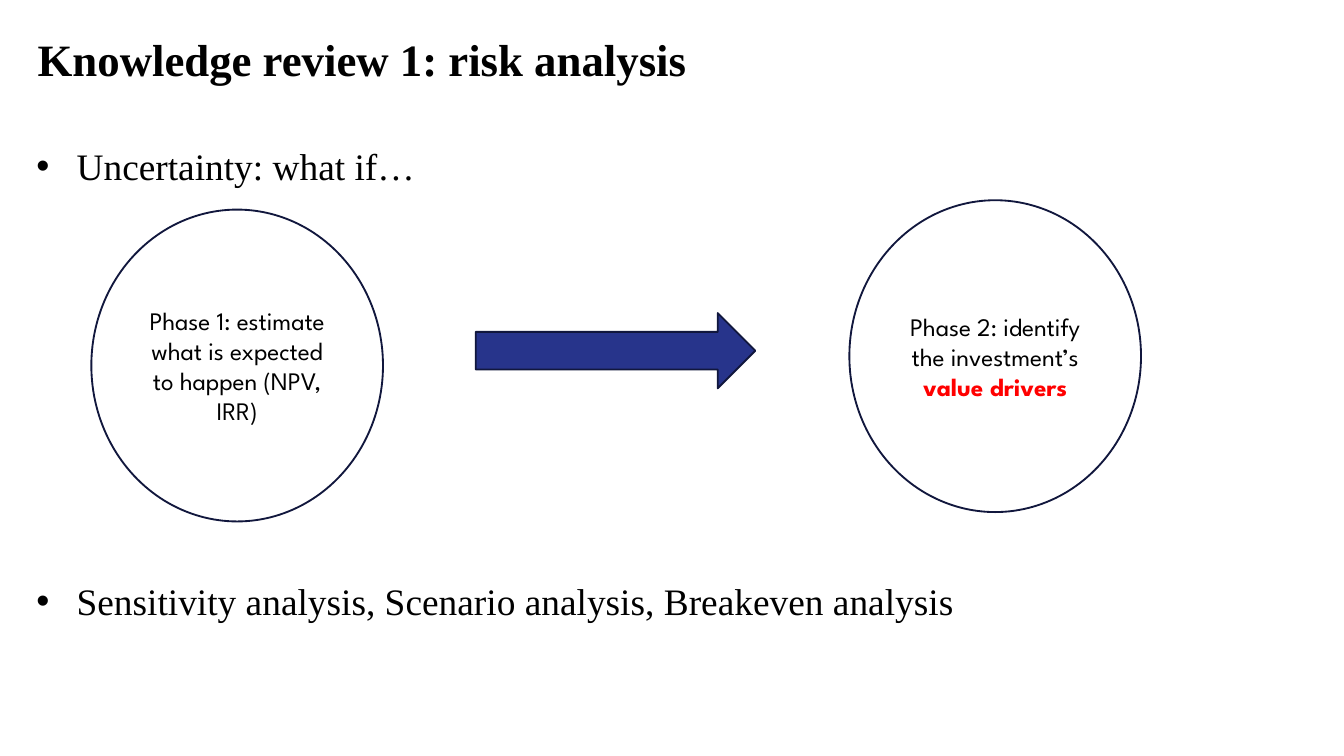
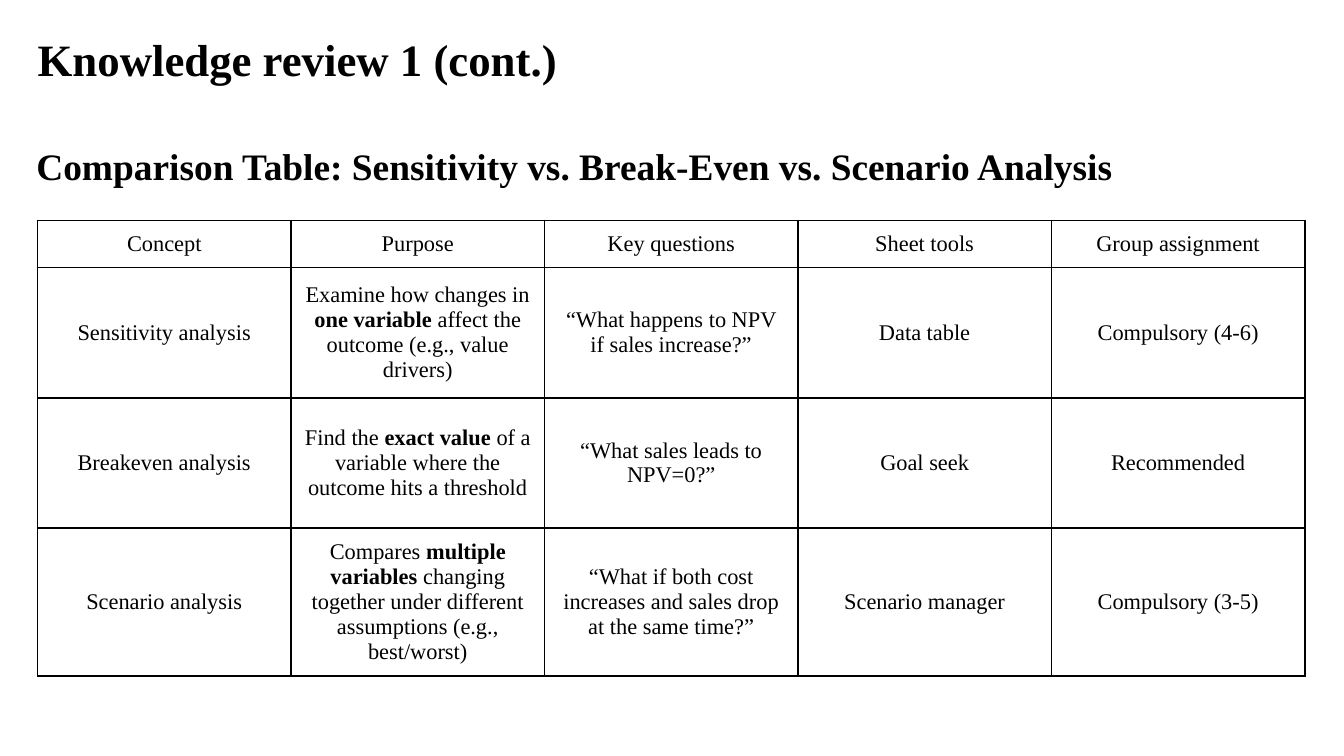
from dataclasses import dataclass

from lxml import etree
from pptx import Presentation
from pptx import util as u
from pptx.dml.color import RGBColor
from pptx.enum import shapes, text
from pptx.oxml.ns import qn


@dataclass(frozen=True)
class Theme:
    serif: str = "Times New Roman"
    sans: str = "League Spartan"
    ink: str = "000000"
    accent: str = "FF0000"
    arrow: str = "27348B"
    outline: str = "11173D"
    title_size: float = 24
    body_size: float = 20
    phase_size: float = 13.5
    cell_size: float = 12


THEME = Theme()

# A list within a cell holds runs; every second one is bold.
COMPARISON = [
    ["Concept", "Purpose", "Key questions", "Sheet tools", "Group assignment"],
    ["Sensitivity analysis",
     ["Examine how changes in ", "one variable ",
      "affect the outcome (e.g., value drivers)"],
     "“What happens to NPV if sales increase?”", "Data table", "Compulsory (4-6)"],
    ["Breakeven analysis",
     ["Find the ", "exact value ",
      "of a variable where the outcome hits a threshold"],
     "“What sales leads to NPV=0?”", "Goal seek", "Recommended"],
    ["Scenario analysis",
     ["Compares ", "multiple variables ",
      "changing together under different assumptions (e.g., best/worst)"],
     "“What if both cost increases and sales drop at the same time?”",
     "Scenario manager", "Compulsory (3-5)"],
]


def inches(*lengths):
    return [u.Inches(length) for length in lengths]


def color(code):
    return RGBColor.from_string(code)


def style(span, size, face=THEME.serif, ink=THEME.ink, bold=False):
    span.font.name = face
    span.font.size = u.Pt(size)
    span.font.color.rgb = color(ink)
    span.font.bold = bold


def write_runs(para, parts, size, face=THEME.serif, strong_ink=THEME.ink):
    """Write the parts as runs, every second one bold."""
    for index, part in enumerate(parts):
        span = para.add_run()
        span.text = part
        strong = index % 2 == 1
        style(span, size, face, strong_ink if strong else THEME.ink, strong)


def set_insets(frame, side):
    frame.margin_left = frame.margin_right = u.Inches(side)
    frame.margin_top = frame.margin_bottom = 0
    frame.word_wrap = True


def add_page(deck, heading):
    page = deck.slides.add_slide(deck.slide_layouts[5])
    title = page.shapes.title
    title.left, title.top, title.width, title.height = inches(0, 0.21, 7.4, 0.5)
    frame = title.text_frame
    frame.text = heading
    frame.auto_size = text.MSO_AUTO_SIZE.NONE
    frame.vertical_anchor = text.MSO_ANCHOR.MIDDLE
    set_insets(frame, 0.28)
    para = frame.paragraphs[0]
    para.alignment = text.PP_ALIGN.LEFT
    para.line_spacing = 0.9
    style(para.runs[0], THEME.title_size, bold=True)
    return page


def add_bullet(para):
    props = para._p.get_or_add_pPr()
    props.set("marL", str(u.Inches(0.3)))
    props.set("indent", str(-u.Inches(0.3)))
    font = etree.SubElement(props, qn("a:buFont"))
    font.set("typeface", "Arial")
    etree.SubElement(props, qn("a:buChar")).set("char", "•")


def add_body(page, lines, gap=0, bullets=False, bold=False):
    """Add the body text, with gap points before each later line."""
    box = page.shapes.add_textbox(*inches(0.27, 1.1, 9.45, 3.9))
    frame = box.text_frame
    set_insets(frame, 0)
    for index, line in enumerate(lines):
        para = frame.add_paragraph() if index else frame.paragraphs[0]
        para.text = line
        para.line_spacing = 0.9
        para.space_after = u.Pt(6)
        if index:
            para.space_before = u.Pt(gap)
        if bullets:
            add_bullet(para)
        style(para.runs[0], THEME.body_size, bold=bold)


def add_outlined(page, kind, *place):
    shape = page.shapes.add_shape(kind, *inches(*place))
    shape.shadow.inherit = False
    shape.line.color.rgb = color(THEME.outline)
    shape.line.width = u.Pt(1)
    return shape


def add_phase(page, left, top, parts):
    circle = add_outlined(page, shapes.MSO_SHAPE.OVAL, left, top, 2.17, 2.32)
    circle.fill.background()
    frame = circle.text_frame
    frame.word_wrap = True
    frame.vertical_anchor = text.MSO_ANCHOR.MIDDLE
    para = frame.paragraphs[0]
    para.alignment = text.PP_ALIGN.CENTER
    write_runs(para, parts, THEME.phase_size, THEME.sans, THEME.accent)


def add_arrow(page, *place):
    arrow = add_outlined(page, shapes.MSO_SHAPE.RIGHT_ARROW, *place)
    arrow.fill.solid()
    arrow.fill.fore_color.rgb = color(THEME.arrow)


def set_borders(cell):
    props = cell._tc.get_or_add_tcPr()
    for index, side in enumerate(("lnL", "lnR", "lnT", "lnB")):
        line = etree.Element(qn(f"a:{side}"), w=str(u.Pt(1)))
        fill = etree.SubElement(line, qn("a:solidFill"))
        etree.SubElement(fill, qn("a:srgbClr")).set("val", THEME.ink)
        props.insert(index, line)


def add_grid(page, rows):
    place = inches(0.28, 1.64, 9.43, 3.38)
    holder = page.shapes.add_table(len(rows), len(rows[0]), *place)
    table = holder.table
    table.first_row = table.horz_banding = False
    for index, row in enumerate(table.rows):
        row.height = u.Inches(0.97 if index else 0.35)
    holder.height = place[3]
    for row, values in enumerate(rows):
        for column, value in enumerate(values):
            cell = table.cell(row, column)
            cell.fill.background()
            set_borders(cell)
            cell.vertical_anchor = text.MSO_ANCHOR.MIDDLE
            para = cell.text_frame.paragraphs[0]
            para.alignment = text.PP_ALIGN.CENTER
            parts = [value] if isinstance(value, str) else value
            write_runs(para, parts, THEME.cell_size)
    return table


def main():
    deck = Presentation()
    deck.slide_width = u.Inches(10)
    deck.slide_height = deck.slide_width * 9 // 16

    # Risk analysis in two phases
    page = add_page(deck, "Knowledge review 1: risk analysis")
    add_body(page, ["Uncertainty: what if…",
                    "Sensitivity analysis, Scenario analysis, Breakeven analysis"],
             gap=205.5, bullets=True)
    add_phase(page, 0.68, 1.56,
              ["Phase 1: estimate what is expected to happen (NPV, IRR)"])
    add_arrow(page, 3.54, 2.33, 2.08, 0.56)
    add_phase(page, 6.32, 1.49,
              ["Phase 2: identify the investment’s ", "value drivers"])

    # Comparison of the three methods
    page = add_page(deck, "Knowledge review 1 (cont.)")
    add_body(page, ["Comparison Table: Sensitivity vs. Break-Even vs. Scenario Analysis"],
             bold=True)
    table = add_grid(page, COMPARISON)
    # The last assignment sits a little above the middle of its row
    table.cell(3, 4).text_frame.paragraphs[0].space_after = u.Pt(14)

    deck.save("out.pptx")


if __name__ == "__main__":
    main()
